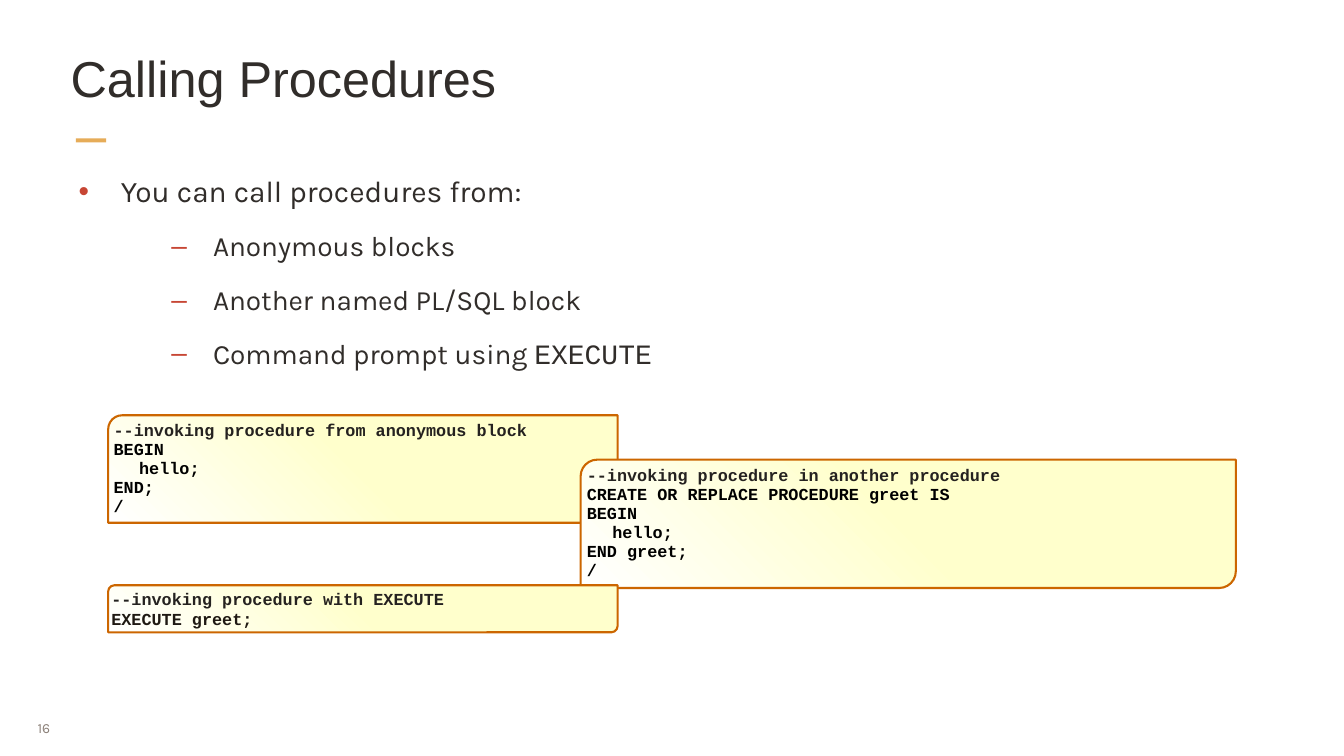
import dataclasses

import pptx
import pptx.dml.color
import pptx.enum.shapes
import pptx.enum.text
import pptx.oxml.ns
import pptx.util
from lxml import etree
from pptx.util import Inches


@dataclasses.dataclass
class Theme:
    ink: str = "312D2A"
    note: str = "252220"
    code: str = "000000"
    run: str = "1F1913"
    mark: str = "C74634"
    gold: str = "E6AC58"
    gray: str = "8B8078"
    edge: str = "CC6600"
    cream: str = "FFFFCC"
    white: str = "FFFFFF"
    head: int = 54
    lead: int = 32
    item: int = 30
    mono: int = 18
    page: int = 15


theme = Theme()
rgb = pptx.dml.color.RGBColor.from_string
shapes_of = pptx.enum.shapes.MSO_SHAPE


def style(font, name, size, color, bold=False):
    font.name = name
    font.size = pptx.util.Pt(size)
    font.color.rgb = rgb(color)
    font.bold = bold


def add(parent, tag, **attrs):
    """Append a drawing element with the given attributes."""
    return etree.SubElement(parent, pptx.oxml.ns.qn(tag), attrs)


deck = pptx.Presentation()
deck.slide_width = Inches(20)
deck.slide_height = Inches(11.25)
slide = deck.slides.add_slide(deck.slide_layouts[6])
shapes = slide.shapes

# Accent bar under the title
bar = shapes.add_shape(shapes_of.RECTANGLE, Inches(1.13), Inches(2.06), Inches(0.45), Inches(0.06))
bar.shadow.inherit = False
bar.fill.solid()
bar.fill.fore_color.rgb = rgb(theme.gold)
bar.line.fill.background()

# Page number, title and list frames
frames = []
for left, top, width, height, pad_x, pad_y in (
    (0.43, 10.54, 0.65, 0.58, 0.13, 0.07),
    (1.02, 0.67, 17.96, 1.28, 0.03, 0.03),
    (1.02, 2.49, 17.96, 3.83, 0.03, 0.03),
):
    box = shapes.add_textbox(Inches(left), Inches(top), Inches(width), Inches(height))
    frame = box.text_frame
    frame.word_wrap = True
    frame.margin_left = frame.margin_right = Inches(pad_x)
    frame.margin_top = frame.margin_bottom = Inches(pad_y)
    frames.append(frame)
page, title, body = frames

page.word_wrap = False
page.vertical_anchor = pptx.enum.text.MSO_ANCHOR.MIDDLE
page.text = "16"
page.paragraphs[0].alignment = pptx.enum.text.PP_ALIGN.JUSTIFY
style(page.paragraphs[0].font, "Karla", theme.page, theme.gray)

title.text = "Calling Procedures"
style(title.paragraphs[0].font, "Arial", theme.head, theme.ink)

# Bulleted list
items = (
    (0, "You can call procedures from:"),
    (1, "Anonymous blocks"),
    (1, "Another named PL/SQL block"),
    (1, "Command prompt using "),
)
levels = ((0.75, -0.63, "•", theme.lead), (2.12, -0.62, "–", theme.item))
for i, (level, text) in enumerate(items):
    margin, indent, mark, size = levels[level]
    para = body.add_paragraph() if i else body.paragraphs[0]
    para.level = level
    props = para._p.get_or_add_pPr()
    props.set("marL", str(Inches(margin)))
    props.set("indent", str(Inches(indent)))
    add(add(props, "a:buClr"), "a:srgbClr", val=theme.mark)
    add(props, "a:buFont", typeface="Arial")
    add(props, "a:buChar", char=mark)
    para.line_spacing = 1.1
    if i:
        para.space_before = pptx.util.Pt(18)
    para.add_run().text = text
    style(para.font, "Karla", size, theme.ink)
word = para.add_run()
word.text = "EXECUTE"
word.font.name = "Courier New"

# Code panels: the first line of each is a comment
panels = (
    (1.61, 6.18, 7.58, 1.6, 0.95, theme.code,
     ("--invoking procedure from anonymous block", "BEGIN", "\thello;", "END;", "/")),
    (8.64, 6.84, 9.75, 1.91, 0.95, theme.code,
     ("--invoking procedure in another procedure", "CREATE OR REPLACE PROCEDURE greet IS",
      "BEGIN", "\thello;", "END greet;", "/")),
    (1.61, 8.71, 7.58, 0.7, 1.0, theme.run,
     ("--invoking procedure with EXECUTE", "EXECUTE greet;")),
)
for left, top, width, height, space, color, lines in panels:
    panel = shapes.add_shape(shapes_of.ROUND_2_DIAG_RECTANGLE,
                             Inches(left), Inches(top), Inches(width), Inches(height))
    panel.shadow.inherit = False
    panel.adjustments[0] = 0.13
    panel.adjustments[1] = 0
    panel.fill.gradient()
    panel.fill.gradient_angle = 225
    stops = panel.fill.gradient_stops
    for stop, place, tint in zip(stops, (0.5, 1), (theme.cream, theme.white)):
        stop.position = place
        stop.color.rgb = rgb(tint)
    panel.line.color.rgb = rgb(theme.edge)
    panel.line.width = pptx.util.Pt(2.25)

    frame = panel.text_frame
    frame.word_wrap = True
    frame.vertical_anchor = pptx.enum.text.MSO_ANCHOR.TOP
    frame.margin_left = frame.margin_right = Inches(0.02)
    frame.margin_top = frame.margin_bottom = Inches(0.02)
    for i, line in enumerate(lines):
        para = frame.add_paragraph() if i else frame.paragraphs[0]
        if line.startswith("\t"):
            tabs = add(para._p.get_or_add_pPr(), "a:tabLst")
            add(tabs, "a:tab", pos=str(Inches(0.38)), algn="l")
        para.alignment = pptx.enum.text.PP_ALIGN.LEFT
        para.line_spacing = space
        para.add_run().text = line
        style(para.font, "Courier New", theme.mono, color if i else theme.note, True)

deck.save("out.pptx")
